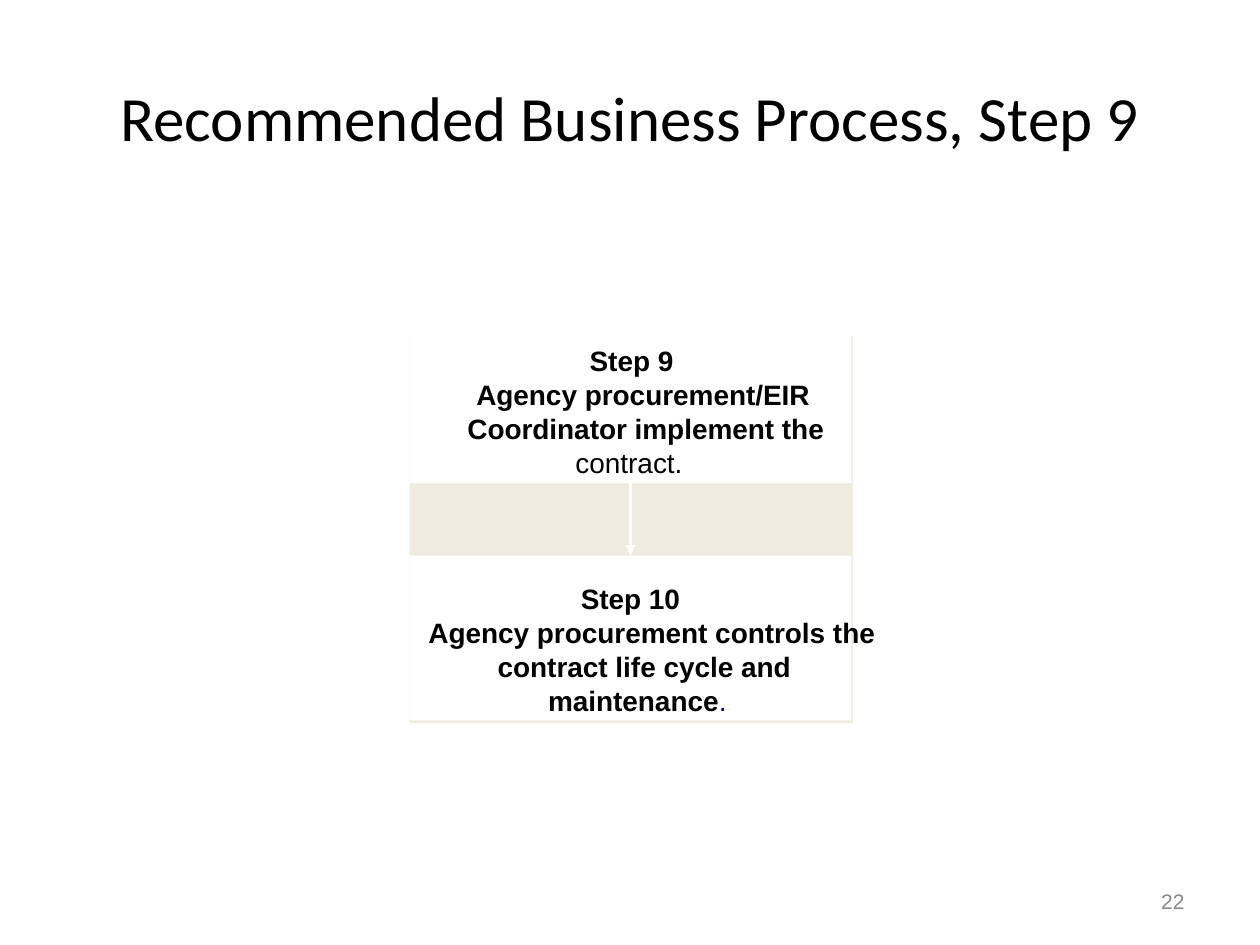
from collections import namedtuple
from dataclasses import dataclass

from lxml.etree import SubElement
from pptx import Presentation
from pptx.dml.color import RGBColor as RGB
from pptx.enum.shapes import MSO_CONNECTOR as CONN, MSO_SHAPE as SHAPE
from pptx.enum.text import MSO_ANCHOR as ANCHOR, MSO_AUTO_SIZE as FIT, PP_ALIGN as ALIGN
from pptx.oxml.ns import qn
from pptx.util import Inches, Pt

Box = namedtuple("Box", "x y w h")


@dataclass(frozen=True)
class Theme:
    heading: str = "Calibri"
    body: str = "Arial"
    title_size: int = 36
    step_size: int = 16
    number_size: int = 12
    ink: str = "000000"
    stop: str = "000099"
    muted: str = "898989"
    panel: str = "EEECE1"
    paper: str = "FFFFFF"


T = Theme()
CELL = 0.25
PAGE = Box(0, 0, 40, 30)
LINE_ROWS = 1.08
STEP_PAD = 0.1

STEP_9 = [
    (5.72, 2.72, [("Step 9", True, T.ink)]),
    (2.12, 10.84, [("Agency procurement/EIR", True, T.ink)]),
    (1.84, 11.6, [("Coordinator implement the", True, T.ink)]),
    (5.27, 3.5, [("contract.", False, T.ink)]),
]
STEP_10 = [
    (5.44, 3.2, [("Step 10", True, T.ink)]),
    (0.6, 14.44, [("Agency procurement controls the", True, T.ink)]),
    (2.8, 9.6, [("contract life cycle and", True, T.ink)]),
    (4.4, 5.72, [("maintenance", True, T.ink), (".", False, T.stop)]),
]


def within(box, x, y, w, h):
    return Box(box.x + x, box.y + y, w, h)


def emu(box):
    return [Inches(v * CELL) for v in box]


def add_run(p, text, font, size, color, bold=False):
    r = p.add_run()
    r.text = text
    r.font.name = font
    r.font.size = Pt(size)
    r.font.bold = bold
    r.font.color.rgb = RGB.from_string(color)


def add_rect(s, box, color):
    sp = s.shapes.add_shape(SHAPE.RECTANGLE, *emu(box))
    sp.shadow.inherit = False
    sp.fill.solid()
    sp.fill.fore_color.rgb = RGB.from_string(color)
    sp.line.fill.background()


def add_title(s, box, text):
    sp = s.shapes.title
    sp.left, sp.top, sp.width, sp.height = emu(box)
    tf = sp.text_frame
    tf.vertical_anchor = ANCHOR.MIDDLE
    p = tf.paragraphs[0]
    p.alignment = ALIGN.CENTER
    add_run(p, text, T.heading, T.title_size, T.ink)


def add_number(s, box, text):
    tf = s.shapes.add_textbox(*emu(box)).text_frame
    tf.word_wrap = True
    tf.vertical_anchor = ANCHOR.MIDDLE
    p = tf.paragraphs[0]
    p.alignment = ALIGN.RIGHT
    add_run(p, text, T.body, T.number_size, T.muted)


def add_step(s, box, lines):
    add_rect(s, box, T.paper)
    top = box.h - STEP_PAD - LINE_ROWS * len(lines)
    for i, (x, w, runs) in enumerate(lines):
        place = within(box, x, top + i * LINE_ROWS, w, LINE_ROWS)
        tf = s.shapes.add_textbox(*emu(place)).text_frame
        tf.margin_left = tf.margin_right = tf.margin_top = tf.margin_bottom = 0
        tf.word_wrap = False
        tf.auto_size = FIT.SHAPE_TO_FIT_TEXT
        for text, bold, color in runs:
            add_run(tf.paragraphs[0], text, T.body, T.step_size, color, bold)


def add_arrow(s, box):
    x, y, w, h = emu(box)
    middle = x + w // 2
    c = s.shapes.add_connector(CONN.STRAIGHT, middle, y, middle, y + h)
    c.line.width = Pt(2)
    c.line.color.rgb = RGB.from_string(T.paper)
    SubElement(c.line._get_or_add_ln(), qn("a:tailEnd"), type="triangle", w="med", len="med")
    SubElement(c._element.spPr, qn("a:effectLst"))


def add_flow(s, box):
    add_rect(s, box, T.panel)
    first = within(box, 0, -0.04, 14.03, 4.7)
    second = within(box, 0, 6.96, 14.03, 5.23)
    add_step(s, second, STEP_10)
    add_step(s, first, STEP_9)
    gap_top = first.y + first.h
    add_arrow(s, Box(first.x, gap_top, first.w, second.y - gap_top))


def main():
    prs = Presentation()
    prs.slide_width, prs.slide_height = emu(PAGE)[2:]
    s = prs.slides.add_slide(prs.slide_layouts[5])
    add_title(s, within(PAGE, 2, 1.2, 36, 5), "Recommended Business Process, Step 9")
    add_number(s, within(PAGE, 28.68, 27.8, 9.32, 1.6), "22")
    add_flow(s, within(PAGE, 13, 10.68, 14.08, 12.28))
    prs.save("out.pptx")


if __name__ == "__main__":
    main()
